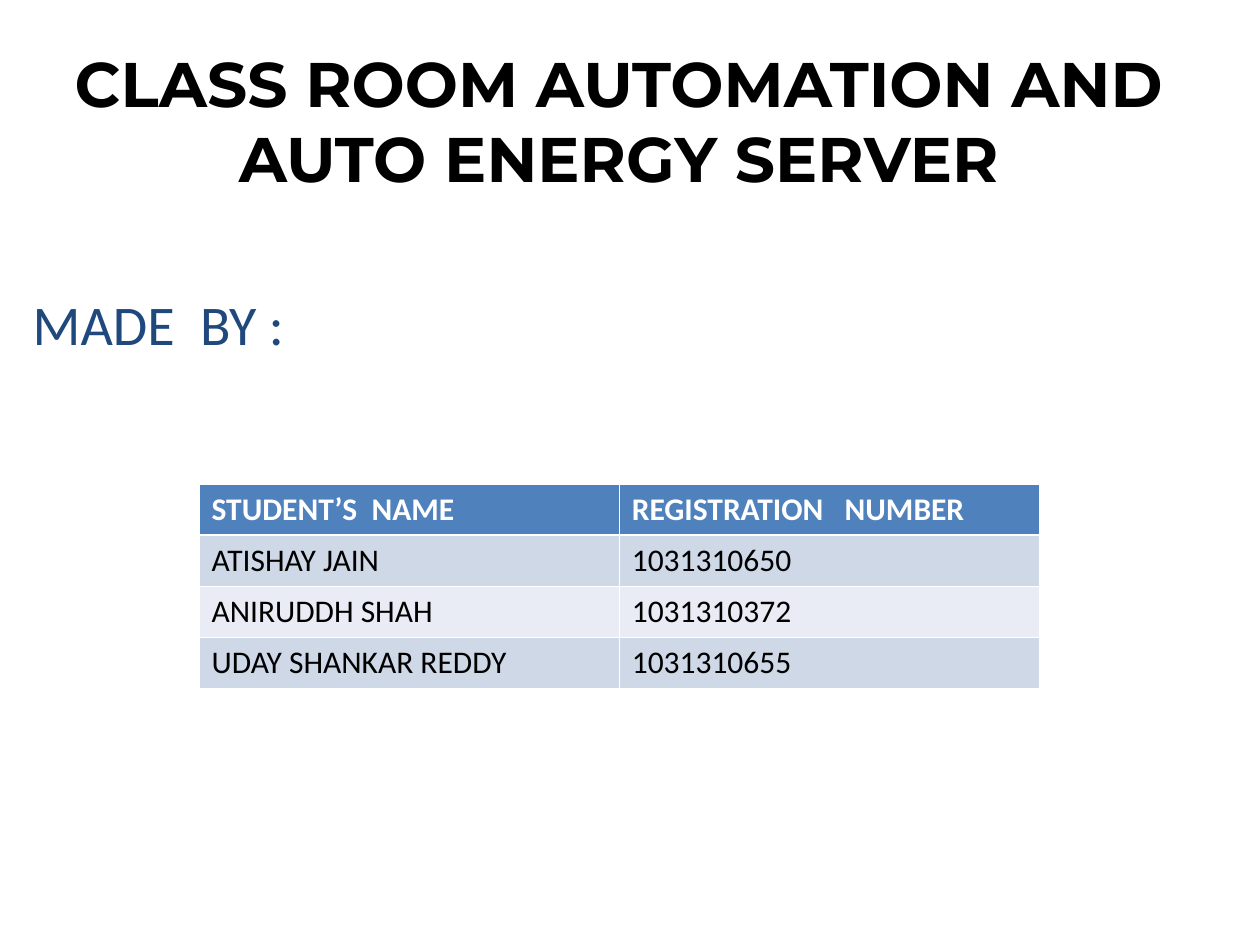
from typing import NamedTuple

from lxml.etree import SubElement
from pptx import Presentation
from pptx.dml.color import RGBColor
from pptx.enum.text import MSO_ANCHOR, PP_ALIGN
from pptx.oxml.ns import qn
from pptx.util import Inches, Pt

BLACK = RGBColor(0x00, 0x00, 0x00)
WHITE = RGBColor(0xFF, 0xFF, 0xFF)
NAVY = RGBColor(0x1F, 0x49, 0x7D)
HEADER_BLUE = RGBColor(0x4F, 0x81, 0xBD)
BANDS = (RGBColor(0xCF, 0xD8, 0xE7), RGBColor(0xE9, 0xEC, 0xF4))

THIN, THICK = Pt(0.45), Pt(1.47)


class Student(NamedTuple):
    name: str
    registration: str


class Box(NamedTuple):
    left: float
    top: float
    width: float
    height: float


class TextStyle(NamedTuple):
    font: str
    size: float
    color: RGBColor
    bold: bool = False


HEADINGS = Student("STUDENT’S  NAME", "REGISTRATION   NUMBER")
STUDENTS = [
    Student("ATISHAY JAIN", "1031310650"),
    Student("ANIRUDDH SHAH", "1031310372"),
    Student("UDAY SHANKAR REDDY", "1031310655"),
]


def write(frame, text: str, style: TextStyle, align=PP_ALIGN.LEFT) -> None:
    frame.text = text
    paragraph = frame.paragraphs[0]
    paragraph.alignment = align
    paragraph.space_before = Pt(0)
    font = paragraph.runs[0].font
    font.name, font.size, font.bold = style.font, Pt(style.size), style.bold
    font.color.rgb = style.color


def place(shape, box: Box) -> None:
    shape.left, shape.top, shape.width, shape.height = map(Inches, box)


def set_borders(cell, top: int, bottom: int) -> None:
    """Draw white cell borders; they must precede the fill in the XML."""
    properties = cell._tc.get_or_add_tcPr()
    for tag, width in (("lnL", THIN), ("lnR", THIN), ("lnT", top), ("lnB", bottom)):
        line = SubElement(properties, qn(f"a:{tag}"), w=str(int(width)))
        fill = SubElement(line, qn("a:solidFill"))
        SubElement(fill, qn("a:srgbClr"), val=str(WHITE))


def add_student_table(slide, box: Box) -> None:
    rows = [HEADINGS, *STUDENTS]
    table = slide.shapes.add_table(
        len(rows), len(HEADINGS), *map(Inches, box)).table
    for row_index, student in enumerate(rows):
        is_header = row_index == 0
        style = TextStyle("Calibri", 18, WHITE if is_header else BLACK, is_header)
        for column_index, value in enumerate(student):
            cell = table.cell(row_index, column_index)
            set_borders(cell, THICK if row_index == 1 else THIN,
                        THICK if is_header else THIN)
            cell.fill.solid()
            cell.fill.fore_color.rgb = (
                HEADER_BLUE if is_header else BANDS[(row_index - 1) % 2])
            write(cell.text_frame, value, style)


def main() -> None:
    presentation = Presentation()
    presentation.slide_width, presentation.slide_height = Inches(10), Inches(7.5)
    slide = presentation.slides.add_slide(presentation.slide_layouts[0])

    # Project title
    title = slide.shapes.title
    place(title, Box(0.18, 0.36, 9.46, 1.18))
    title.text_frame.vertical_anchor = MSO_ANCHOR.MIDDLE
    write(title.text_frame, "CLASS ROOM AUTOMATION AND AUTO ENERGY SERVER",
          TextStyle("Montserrat", 36, BLACK, True), PP_ALIGN.CENTER)

    # Authors' heading
    authors = slide.placeholders[1]
    place(authors, Box(0.2, 2.25, 9.14, 4.8))
    authors.text_frame.margin_left = Inches(0.06)
    authors.text_frame.vertical_anchor = MSO_ANCHOR.TOP
    write(authors.text_frame, "MADE  BY :", TextStyle("Calibri", 32, NAVY))

    # Students and their registration numbers
    add_student_table(slide, Box(1.58, 3.84, 6.67, 1.62))

    presentation.save("out.pptx")


if __name__ == "__main__":
    main()
